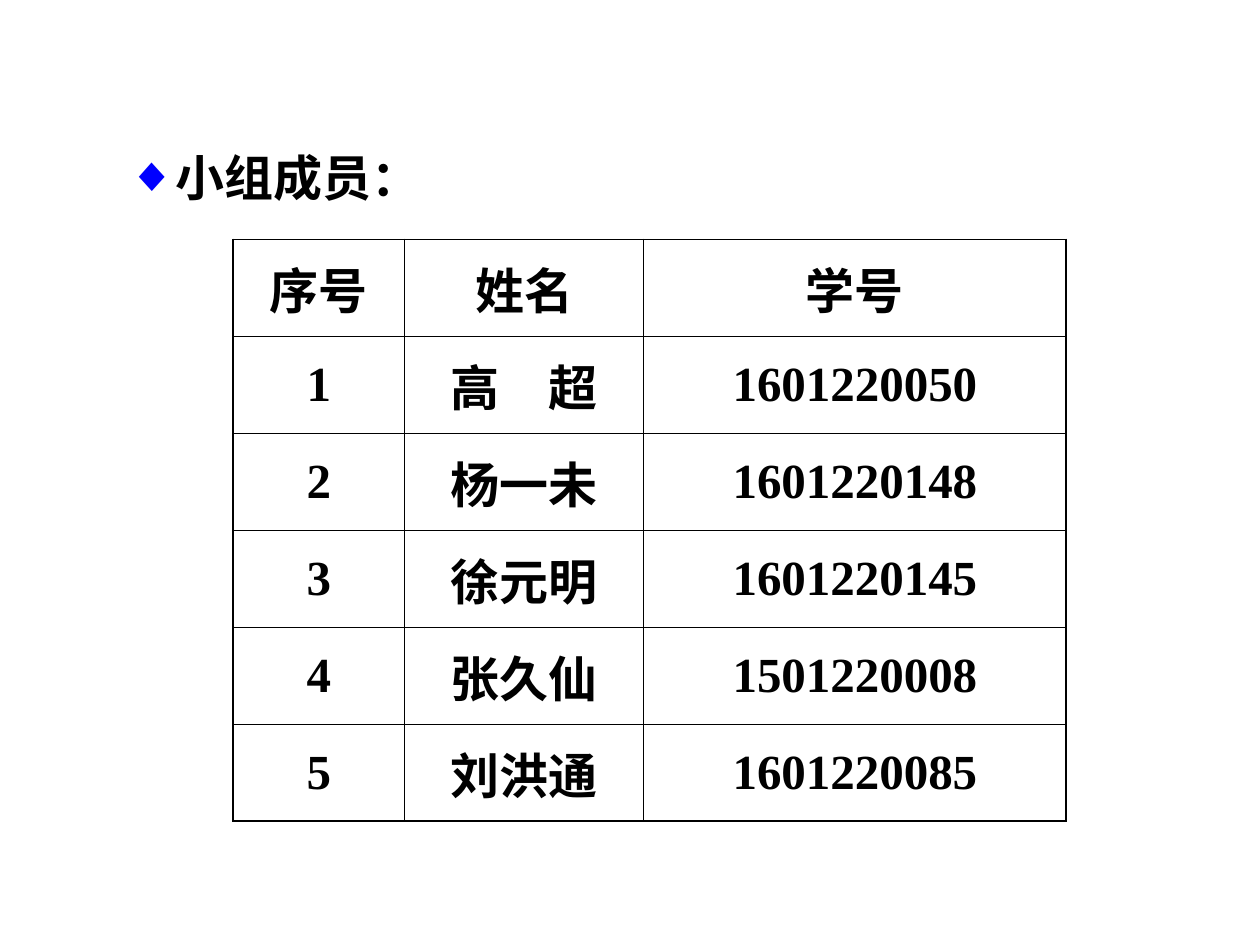
from itertools import product

from lxml import etree
from pptx import Presentation, util as u
from pptx.dml.color import RGBColor
from pptx.enum import text
from pptx.oxml import ns

INK = {"text": "000000", "mark": "0000FF", "line": "000000"}
ROWS = [
    ("序号", "姓名", "学号"),
    ("1", "高　超", "1601220050"),
    ("2", "杨一未", "1601220148"),
    ("3", "徐元明", "1601220145"),
    ("4", "张久仙", "1501220008"),
    ("5", "刘洪通", "1601220085"),
]
COLS = (1.36, 1.9, 3.35)
HIGH = 0.77
THIN, THICK = 0.45, 1.08


def node(top, tag, **vals):
    """Add a DrawingML child element."""
    return etree.SubElement(top, ns.qn("a:" + tag), **vals)


class Deck:
    """Hold the text style and the current slide."""

    def __init__(self, face="Times New Roman", size=28):
        self.face, self.size = face, size
        self.prs = Presentation()
        self.prs.slide_width, self.prs.slide_height = u.Inches(10), u.Inches(7.5)
        self.slide = self.prs.slides.add_slide(self.prs.slide_layouts[1])
        title = self.slide.shapes.title.element
        title.getparent().remove(title)

    def style(self, para, align):
        para.alignment = align
        para.space_before = u.Pt(0)
        for run in para.runs:
            font = run.font
            font.name, font.size, font.bold = self.face, u.Pt(self.size), True
            font.color.rgb = RGBColor.from_string(INK["text"])

    def body(self, words, left, top, width, height):
        box = self.slide.placeholders[1]
        box.left, box.top = u.Inches(left), u.Inches(top)
        box.width, box.height = u.Inches(width), u.Inches(height)
        box.text_frame.text = words
        para = box.text_frame.paragraphs[0]
        self.style(para, text.PP_ALIGN.JUSTIFY)
        props = para._p.get_or_add_pPr()
        dent = u.Inches(0.38)
        props.set("marL", str(dent))
        props.set("indent", str(-dent))
        node(node(props, "buClr"), "srgbClr", val=INK["mark"])
        node(props, "buFont", typeface=self.face)
        node(props, "buChar", char="◆")

    def edge(self, cell, side, width):
        line = node(cell._tc.get_or_add_tcPr(), "ln" + side, w=str(u.Pt(width)))
        node(node(line, "solidFill"), "srgbClr", val=INK["line"])

    def table(self, rows, cols, left, top, high):
        count, span = len(rows), len(cols)
        grid = self.slide.shapes.add_table(
            count, span, u.Inches(left), u.Inches(top),
            u.Inches(sum(cols)), u.Inches(high * count)).table
        grid.first_row = grid.horz_banding = False
        for col, width in zip(grid.columns, cols):
            col.width = u.Inches(width)
        for row in grid.rows:
            row.height = u.Inches(high)
        for r, c in product(range(count), range(span)):
            cell = grid.cell(r, c)
            cell.text_frame.text = rows[r][c]
            cell.vertical_anchor = text.MSO_ANCHOR.MIDDLE
            self.style(cell.text_frame.paragraphs[0], text.PP_ALIGN.CENTER)
            outer = {"L": c == 0, "R": c == span - 1, "T": r == 0, "B": r == count - 1}
            for side, rim in outer.items():
                self.edge(cell, side, THICK if rim else THIN)
            cell.fill.background()


def main():
    deck = Deck()
    deck.body("小组成员：", 0.91, 1.12, 4.17, 4.83)
    deck.table(ROWS, COLS, 1.85, 1.9, HIGH)
    deck.prs.save("out.pptx")


if __name__ == "__main__":
    main()
